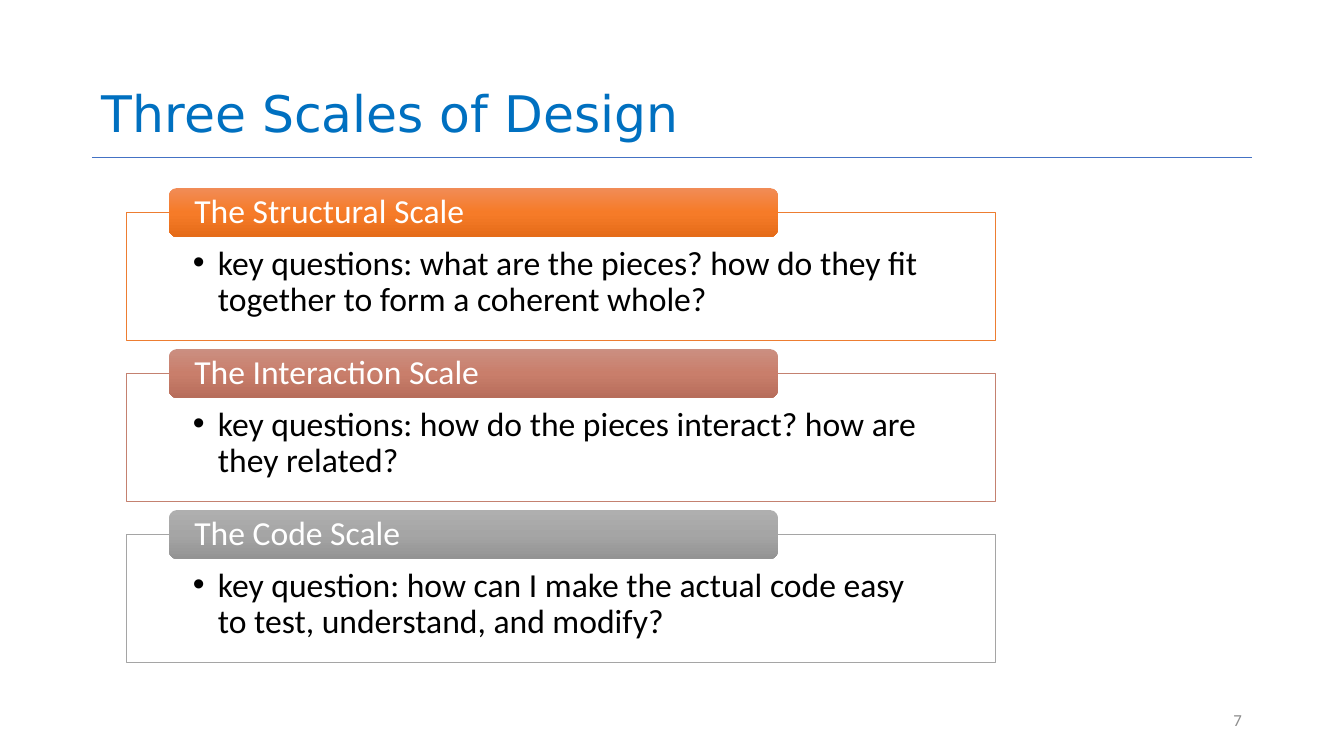
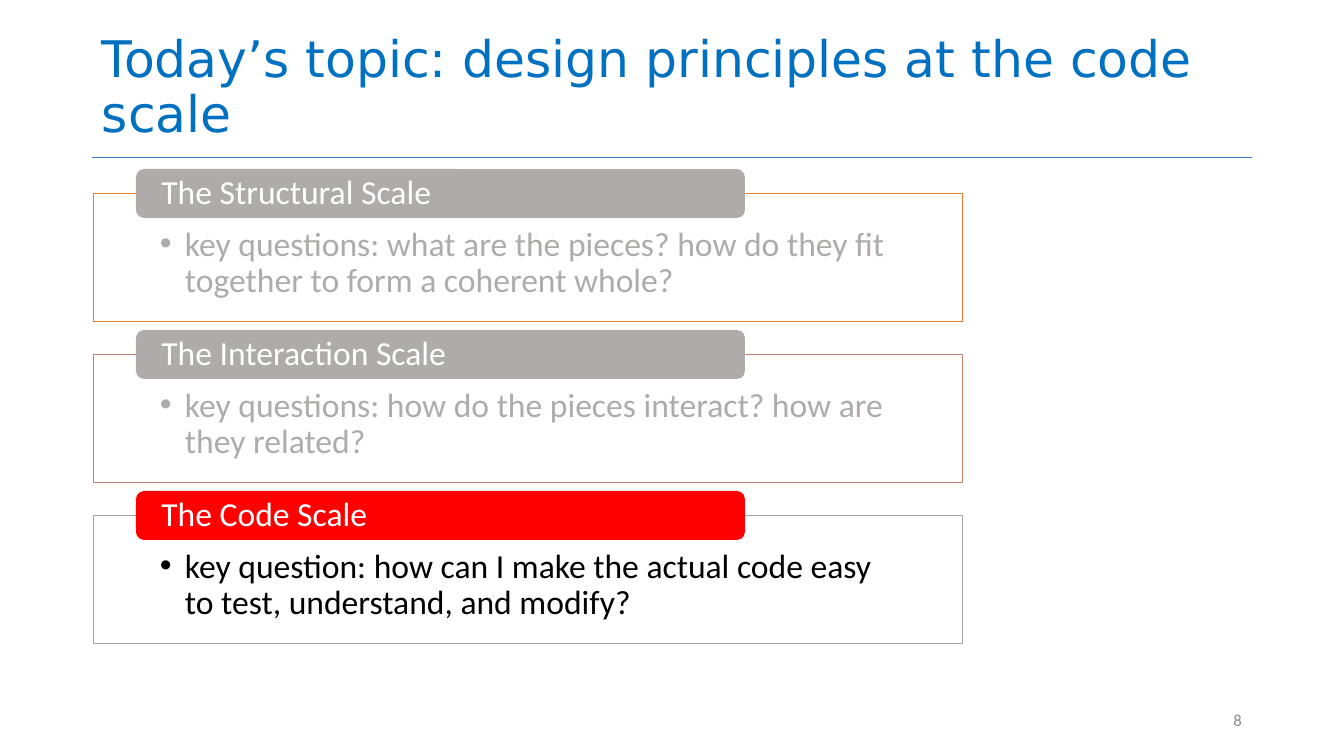
"""Build two slides on the three scales of design."""
import copy

import lxml.etree
import pptx
import pptx.dml.color
import pptx.enum.shapes
import pptx.enum.text
import pptx.oxml.ns
import pptx.util

RGB = pptx.dml.color.RGBColor
ANCHOR = pptx.enum.text.MSO_ANCHOR
ALIGN = pptx.enum.text.PP_ALIGN
SHAPE = pptx.enum.shapes.MSO_SHAPE
qn = pptx.oxml.ns.qn

WHITE = RGB(0xFF, 0xFF, 0xFF)
BLACK = RGB(0x00, 0x00, 0x00)
TITLE_BLUE = RGB(0x00, 0x70, 0xC0)
RULE_BLUE = RGB(0x44, 0x72, 0xC4)
NUMBER_GREY = RGB(0x8C, 0x8C, 0x8C)
MUTED = RGB(0xAF, 0xAB, 0xAB)
RED = RGB(0xFF, 0x00, 0x00)
ORANGE = RGB(0xED, 0x7D, 0x31)
CLAY = RGB(0xC4, 0x81, 0x70)
GREY = RGB(0xA5, 0xA5, 0xA5)
ORANGE_SHADES = (RGB(0xF1, 0x8C, 0x57), RGB(0xF6, 0x7B, 0x28), RGB(0xE5, 0x6C, 0x19))
CLAY_SHADES = (RGB(0xCB, 0x8F, 0x81), RGB(0xC9, 0x7E, 0x6B), RGB(0xB7, 0x6D, 0x5B))
GREY_SHADES = (RGB(0xAF, 0xAF, 0xAF), GREY, RGB(0x93, 0x93, 0x93))

PX_PER_INCH = 100.8
SCALE_PITCH = 161
BULLET_INDENT = 25

TITLE_FONT = {"name": "DejaVu Sans", "size": pptx.util.Pt(36)}
BODY_FONT = {"name": "Calibri", "size": pptx.util.Pt(24)}
NUMBER_FONT = {"name": "Calibri", "size": pptx.util.Pt(12)}

SCALES = [
    ("The Structural Scale", ORANGE,
     "key questions: what are the pieces? how do they fit together to form a coherent whole?"),
    ("The Interaction Scale", CLAY,
     "key questions: how do the pieces interact? how are they related?"),
    ("The Code Scale", GREY,
     "key question: how can I make the actual code easy to test, understand, and modify?"),
]
PAGES = [
    {"title": "Three Scales of Design", "number": "7", "left": 126, "top": 212,
     "tabs": [ORANGE_SHADES, CLAY_SHADES, GREY_SHADES],
     "inks": [BLACK, BLACK, BLACK]},
    {"title": "Today’s topic: design principles at the code scale", "number": "8",
     "left": 93, "top": 193,
     "tabs": [[MUTED], [MUTED], [RED]],
     "inks": [MUTED, MUTED, BLACK]},
]


def px(*lengths):
    return [pptx.util.Emu(round(length * 914400 / PX_PER_INCH)) for length in lengths]


def write(shape, text, font, colour, anchor, margins=(10, 5, 10, 5), align=ALIGN.LEFT):
    frame = shape.text_frame
    left, top, right, bottom = px(*margins)
    frame_format = {
        "word_wrap": True, "auto_size": pptx.enum.text.MSO_AUTO_SIZE.NONE,
        "vertical_anchor": anchor, "margin_left": left, "margin_top": top,
        "margin_right": right, "margin_bottom": bottom,
    }
    for name, value in frame_format.items():
        setattr(frame, name, value)
    para = frame.paragraphs[0]
    para.alignment = align
    para.line_spacing = 0.9
    span = para.add_run()
    span.text = text
    for name, value in font.items():
        setattr(span.font, name, value)
    span.font.color.rgb = colour
    return para


deck = pptx.Presentation()
deck.slide_width, deck.slide_height = px(1344, 756)

for content in PAGES:
    page = deck.slides.add_slide(deck.slide_layouts[5])

    rule = page.shapes.add_connector(
        pptx.enum.shapes.MSO_CONNECTOR.STRAIGHT, *px(92, 157, 1252, 157))
    rule.line.color.rgb = RULE_BLUE
    rule.line.width = pptx.util.Pt(0.5)
    lxml.etree.SubElement(rule._element.spPr, qn("a:effectLst"))

    title = page.shapes.title
    title.left, title.top, title.width, title.height = px(92, 2, 1160, 146)
    write(title, content["title"], TITLE_FONT, TITLE_BLUE, ANCHOR.BOTTOM)

    number = page.shapes.add_textbox(*px(950, 701, 302, 40))
    write(number, content["number"], NUMBER_FONT, NUMBER_GREY, ANCHOR.MIDDLE,
          align=ALIGN.RIGHT)

    left = content["left"]
    rows = zip(SCALES, content["tabs"], content["inks"])
    for row, ((heading, outline, question), shades, ink) in enumerate(rows):
        top = content["top"] + row * SCALE_PITCH

        box = page.shapes.add_shape(SHAPE.RECTANGLE, *px(left, top, 869, 128))
        box.shadow.inherit = False
        box.fill.solid()
        box.fill.fore_color.rgb = WHITE
        white = box._element.spPr.find(".//" + qn("a:srgbClr"))
        lxml.etree.SubElement(white, qn("a:alpha"), val="90000")
        box.line.color.rgb = outline
        box.line.width = pptx.util.Pt(0.5)
        para = write(box, question, BODY_FONT, ink, ANCHOR.TOP, (67, 34, 67, 19))
        properties = para._p.get_or_add_pPr()
        indent = px(BULLET_INDENT)[0]
        properties.set("marL", str(indent))
        properties.set("indent", str(-indent))
        lxml.etree.SubElement(properties, qn("a:buFont"), typeface="Arial")
        lxml.etree.SubElement(properties, qn("a:buChar"), char="•")

        tab = page.shapes.add_shape(
            SHAPE.ROUNDED_RECTANGLE, *px(left + 43, top - 24, 609, 49))
        tab.shadow.inherit = False
        tab.line.fill.background()
        if len(shades) == 1:
            tab.fill.solid()
            tab.fill.fore_color.rgb = shades[0]
        else:
            tab.fill.gradient()
            tab.fill.gradient_angle = 270
            stops = tab._element.spPr.find(".//" + qn("a:gsLst"))
            stops.append(copy.deepcopy(stops[-1]))
            for index, (stop, shade) in enumerate(zip(tab.fill.gradient_stops, shades)):
                stop.position = index / 2
                stop.color.rgb = shade
        write(tab, heading, BODY_FONT, WHITE, ANCHOR.MIDDLE, (23, 0, 23, 0))

deck.save("out.pptx")
